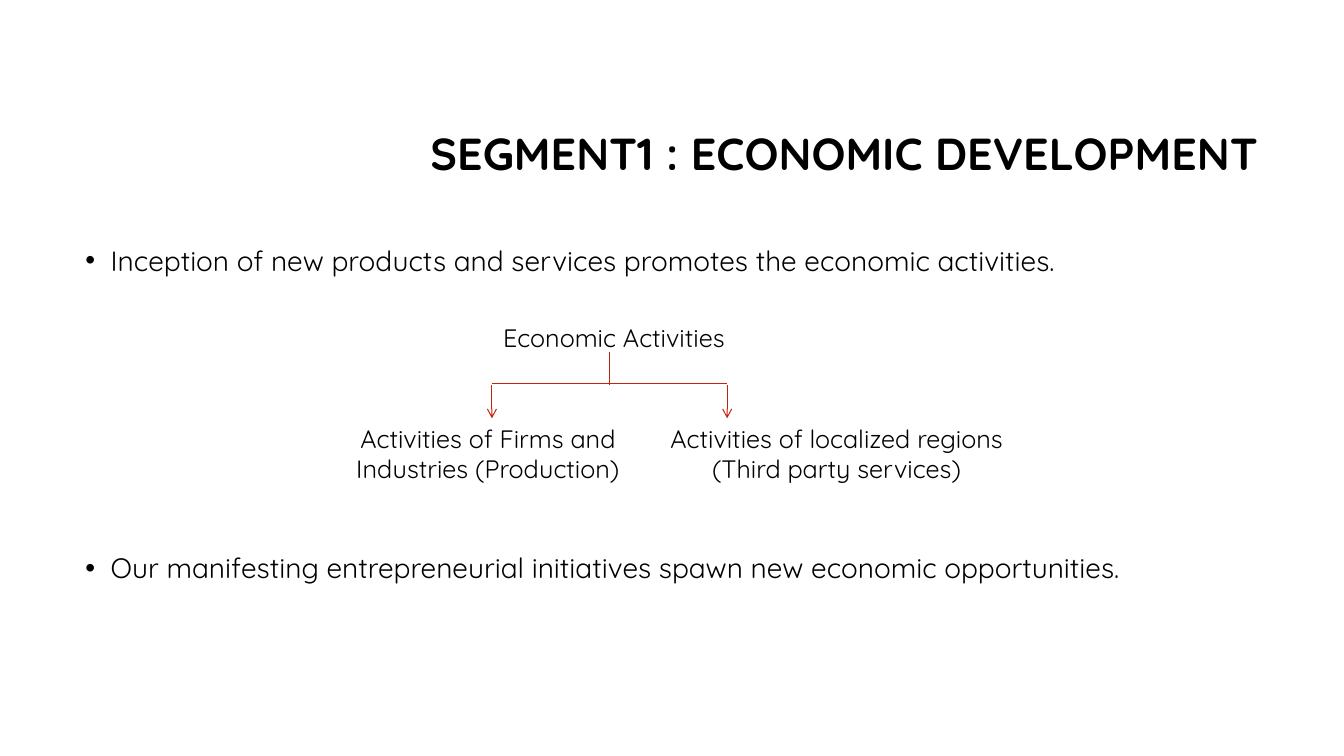
from lxml import etree
from pptx import Presentation
from pptx.dml.color import RGBColor
from pptx.enum.shapes import MSO_CONNECTOR
from pptx.enum.text import MSO_ANCHOR, PP_ALIGN
from pptx.oxml.ns import qn
from pptx.util import Pt

STRAIGHT = MSO_CONNECTOR.STRAIGHT
TOP, MIDDLE = MSO_ANCHOR.TOP, MSO_ANCHOR.MIDDLE
LEFT, CENTER, RIGHT = PP_ALIGN.LEFT, PP_ALIGN.CENTER, PP_ALIGN.RIGHT


def rgb(value):
    """Turn a hex string into a colour."""
    return RGBColor.from_string(value)


class Deck:
    """Hold the style and the current slide."""

    FONT, INK, RED = "Quicksand", "000000", "C4220D"

    def __init__(self, prs):
        """Add a title-only slide to the presentation."""
        self.s = prs.slides.add_slide(prs.slide_layouts[5])

    def fill(self, sp, lines, size, align, anchor=TOP, bold=False, **spacing):
        """Write the formatted paragraphs into a shape."""
        tf = sp.text_frame
        tf.word_wrap = True
        tf.vertical_anchor = anchor
        tf.text = "\n".join(lines)
        for p in tf.paragraphs:
            for name, value in {"alignment": align, **spacing}.items():
                setattr(p, name, value)
            r = p.runs[0]
            for name, value in {"name": self.FONT, "size": Pt(size), "bold": bold}.items():
                setattr(r.font, name, value)
            r.font.color.rgb = rgb(self.INK)
        return tf

    def title(self, text, x, y, w, h):
        """Place and format the title."""
        sp = self.s.shapes.title
        for name, value in {"left": x, "top": y, "width": w, "height": h}.items():
            setattr(sp, name, Pt(value))
        self.fill(sp, [text], 32, RIGHT, MIDDLE, True, line_spacing=0.9)

    def label(self, text, x, y, w, h):
        """Add a centred diagram label."""
        sp = self.s.shapes.add_textbox(Pt(x), Pt(y), Pt(w), Pt(h))
        self.fill(sp, [text], 18, CENTER)

    def bullets(self, lines, x, y, w, h, gap):
        """Add bulleted statements set apart by a gap."""
        sp = self.s.shapes.add_textbox(Pt(x), Pt(y), Pt(w), Pt(h))
        tf = self.fill(sp, lines, 20, LEFT, line_spacing=0.9)
        for i, p in enumerate(tf.paragraphs):
            p.space_before = Pt(gap if i else 0)
            pPr = p._p.get_or_add_pPr()
            pPr.set("marL", str(Pt(18)))
            pPr.set("indent", str(-Pt(18)))
            etree.SubElement(pPr, qn("a:buFont"), typeface="Arial")
            etree.SubElement(pPr, qn("a:buChar"), char="•")

    def line(self, x1, y1, x2, y2, arrow=False):
        """Add a thin line, with an arrowhead at its end if asked."""
        c = self.s.shapes.add_connector(STRAIGHT, Pt(x1), Pt(y1), Pt(x2), Pt(y2))
        c.line.color.rgb = rgb(self.RED)
        c.line.width = Pt(0.75)
        if arrow:
            etree.SubElement(c.line._get_or_add_ln(), qn("a:tailEnd"), type="arrow")
        etree.SubElement(c._element.spPr, qn("a:effectLst"))


def main():
    """Build and save the slide."""
    prs = Presentation()
    prs.slide_width, prs.slide_height = Pt(960), Pt(540)
    deck = Deck(prs)
    deck.title("SEGMENT1 : ECONOMIC DEVELOPMENT", 122.4, 60.5, 784, 101.5)
    deck.bullets([
        "Inception of new products and services promotes the economic activities.",
        "Our manifesting entrepreneurial initiatives spawn new economic opportunities.",
    ], 54, 172.8, 851.8, 316.8, gap=198)

    deck.label("Economic Activities", 333.4, 226.8, 210.2, 30)
    branches = [
        ("Activities of Firms and Industries (Production)", 243.4, 210.2, 351.4),
        ("Activities of localized regions (Third party services)", 471.6, 252, 519.4),
    ]
    bar, drop, tip = 273.6, 275, 298.8
    deck.line(435.6, 251.3, 435.6, drop)
    for text, x, w, arrow_x in branches:
        deck.line(arrow_x, drop, arrow_x, tip, arrow=True)
        deck.label(text, x, tip, w, 51)
    deck.line(branches[0][-1], bar, branches[-1][-1], bar)
    prs.save("out.pptx")


if __name__ == "__main__":
    main()
